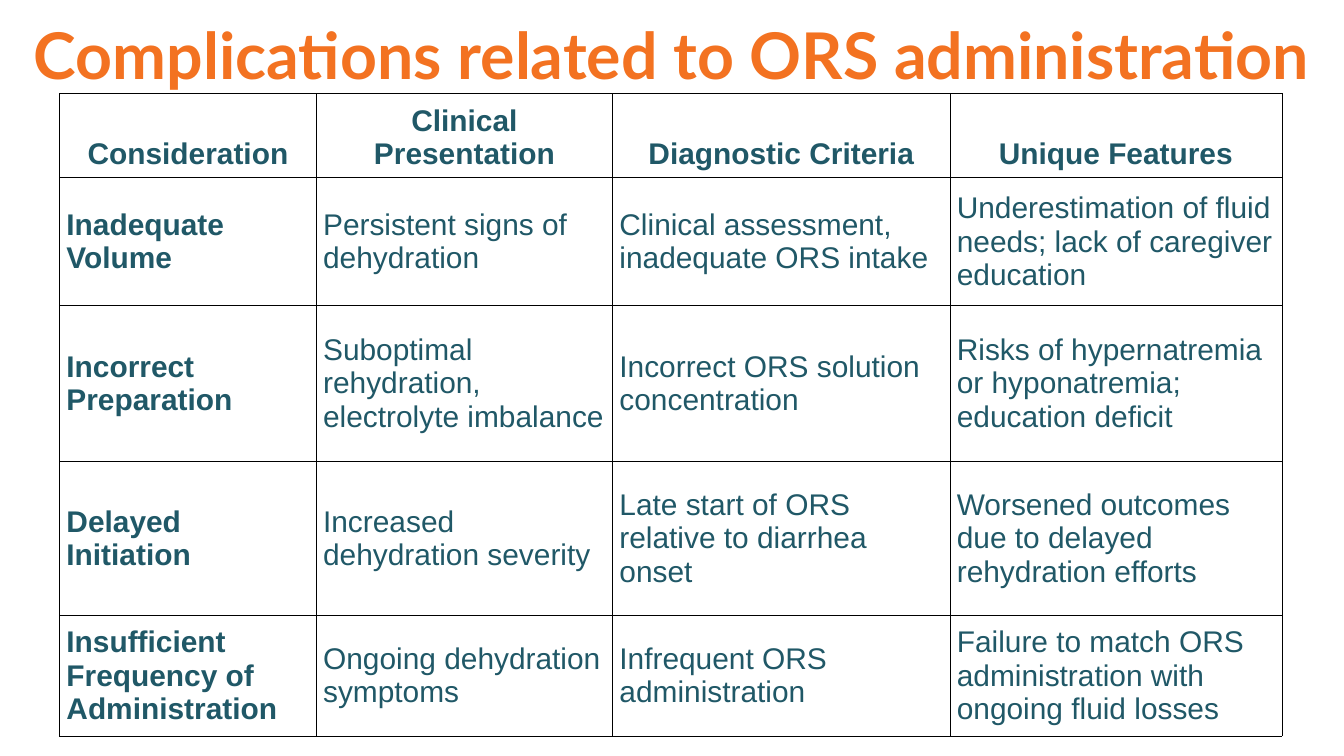
from lxml import etree
from pptx import Presentation
from pptx.dml.color import RGBColor
from pptx.enum.text import MSO_ANCHOR, MSO_AUTO_SIZE, PP_ALIGN
from pptx.oxml.ns import qn
from pptx.util import Pt

LEFT, CENTER = PP_ALIGN.LEFT, PP_ALIGN.CENTER
MIDDLE, BOTTOM = MSO_ANCHOR.MIDDLE, MSO_ANCHOR.BOTTOM
GROW = MSO_AUTO_SIZE.SHAPE_TO_FIT_TEXT

TEAL, ORANGE, BLACK = "205867", "F37221", "000000"
COLS = [275, 317.5, 361.5, 355.5]
ROWS = [90.5, 137, 167, 165, 129]
CELLS = [
    ["Consideration", "Clinical Presentation", "Diagnostic Criteria", "Unique Features"],
    ["Inadequate Volume", "Persistent signs of dehydration",
     "Clinical assessment, inadequate ORS intake",
     "Underestimation of fluid needs; lack of caregiver education"],
    ["Incorrect Preparation", "Suboptimal rehydration, electrolyte imbalance",
     "Incorrect ORS solution concentration",
     "Risks of hypernatremia or hyponatremia; education deficit"],
    ["Delayed Initiation", "Increased dehydration severity",
     "Late start of ORS relative to diarrhea onset",
     "Worsened outcomes due to delayed rehydration efforts"],
    ["Insufficient Frequency of Administration", "Ongoing dehydration symptoms",
     "Infrequent ORS administration",
     "Failure to match ORS administration with ongoing fluid losses"],
]


def color(code):
    return RGBColor.from_string(code)


def write(frame, text, font="Arial", size=32, tint=TEAL, bold=False, align=LEFT):
    para = frame.paragraphs[0]
    para.alignment = align
    run = para.add_run()
    run.text = text
    run.font.name = font
    run.font.size = Pt(size)
    run.font.bold = bold
    run.font.color.rgb = color(tint)


def border(cell, tint, width):
    props = cell._tc.get_or_add_tcPr()
    for side in ("lnL", "lnR", "lnT", "lnB"):
        line = etree.SubElement(props, qn(f"a:{side}"), w=str(Pt(width)))
        fill = etree.SubElement(line, qn("a:solidFill"))
        etree.SubElement(fill, qn("a:srgbClr"), val=tint)


class Deck:
    inset = Pt(7.2)
    rule = 0.75

    def __init__(self, width, height):
        self.file = Presentation()
        self.file.slide_width = Pt(width)
        self.file.slide_height = Pt(height)
        self.slide = self.file.slides.add_slide(self.file.slide_layouts[6])

    def title(self, text, left, top, width, height):
        box = self.slide.shapes.add_textbox(Pt(left), Pt(top), Pt(width), Pt(height))
        frame = box.text_frame
        frame.word_wrap = True
        frame.auto_size = GROW
        frame.margin_left = frame.margin_right = 0
        frame.margin_top = frame.margin_bottom = 0
        write(frame, text, font="Lato", size=69, tint=ORANGE, bold=True, align=CENTER)

    def table(self, cells, left, top, cols, rows):
        grid = self.slide.shapes.add_table(
            len(rows), len(cols), Pt(left), Pt(top), Pt(sum(cols)), Pt(sum(rows))).table
        for col, width in zip(grid.columns, cols):
            col.width = Pt(width)
        for row, height in zip(grid.rows, rows):
            row.height = Pt(height)
        for r, line in enumerate(cells):
            for c, text in enumerate(line):
                self.cell(grid.cell(r, c), text, head=r == 0, bold=r == 0 or c == 0)

    def cell(self, cell, text, head, bold):
        border(cell, BLACK, self.rule)
        cell.fill.background()
        cell.margin_left = cell.margin_right = self.inset
        cell.margin_top = cell.margin_bottom = self.inset
        cell.vertical_anchor = BOTTOM if head else MIDDLE
        write(cell.text_frame, text, bold=bold, align=CENTER if head else LEFT)


def main():
    deck = Deck(1440, 810)
    deck.table(CELLS, 64, 100, COLS, ROWS)
    deck.title("Complications related to ORS administration", 32.5, 16, 1374.5, 83.5)
    deck.file.save("out.pptx")


if __name__ == "__main__":
    main()
